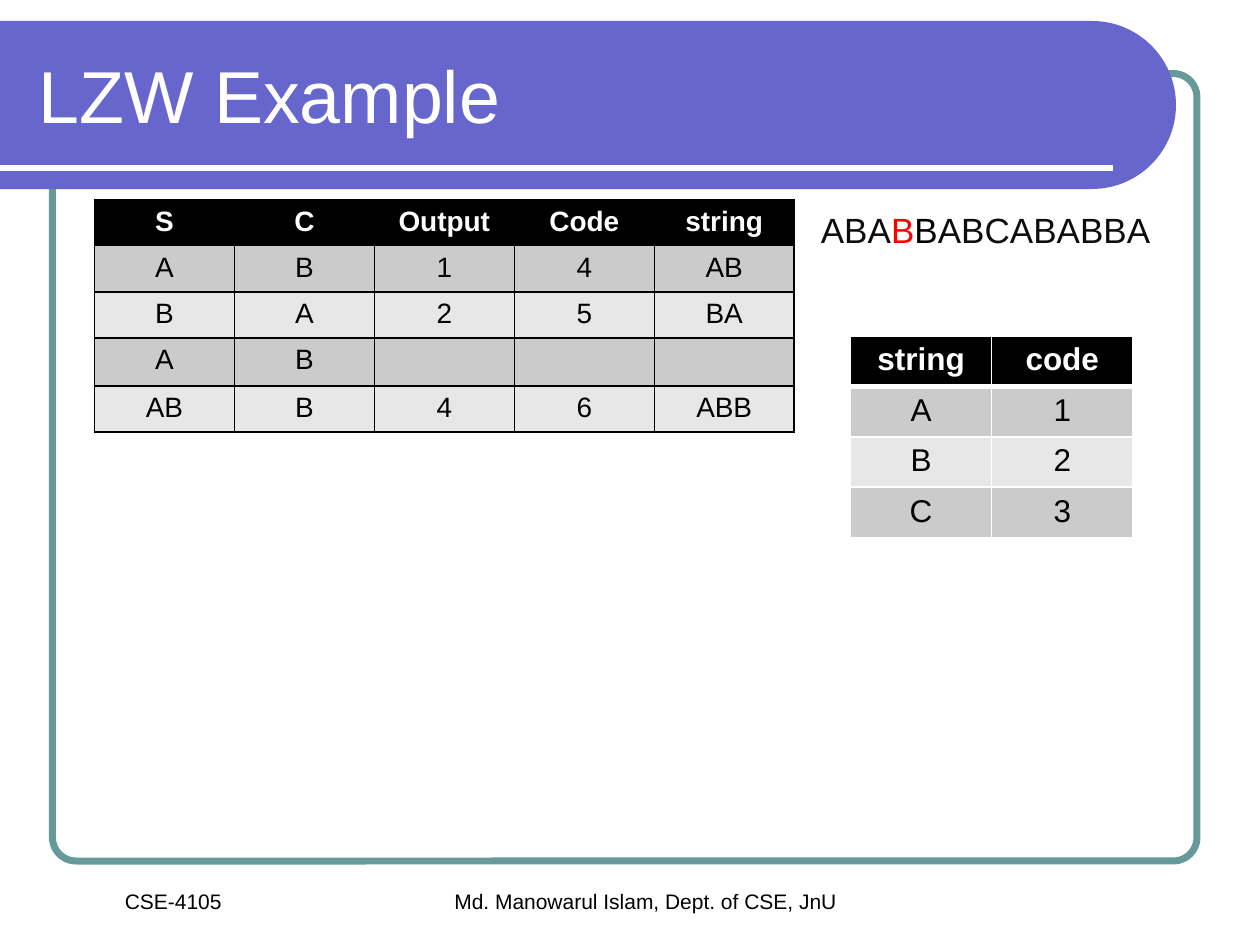
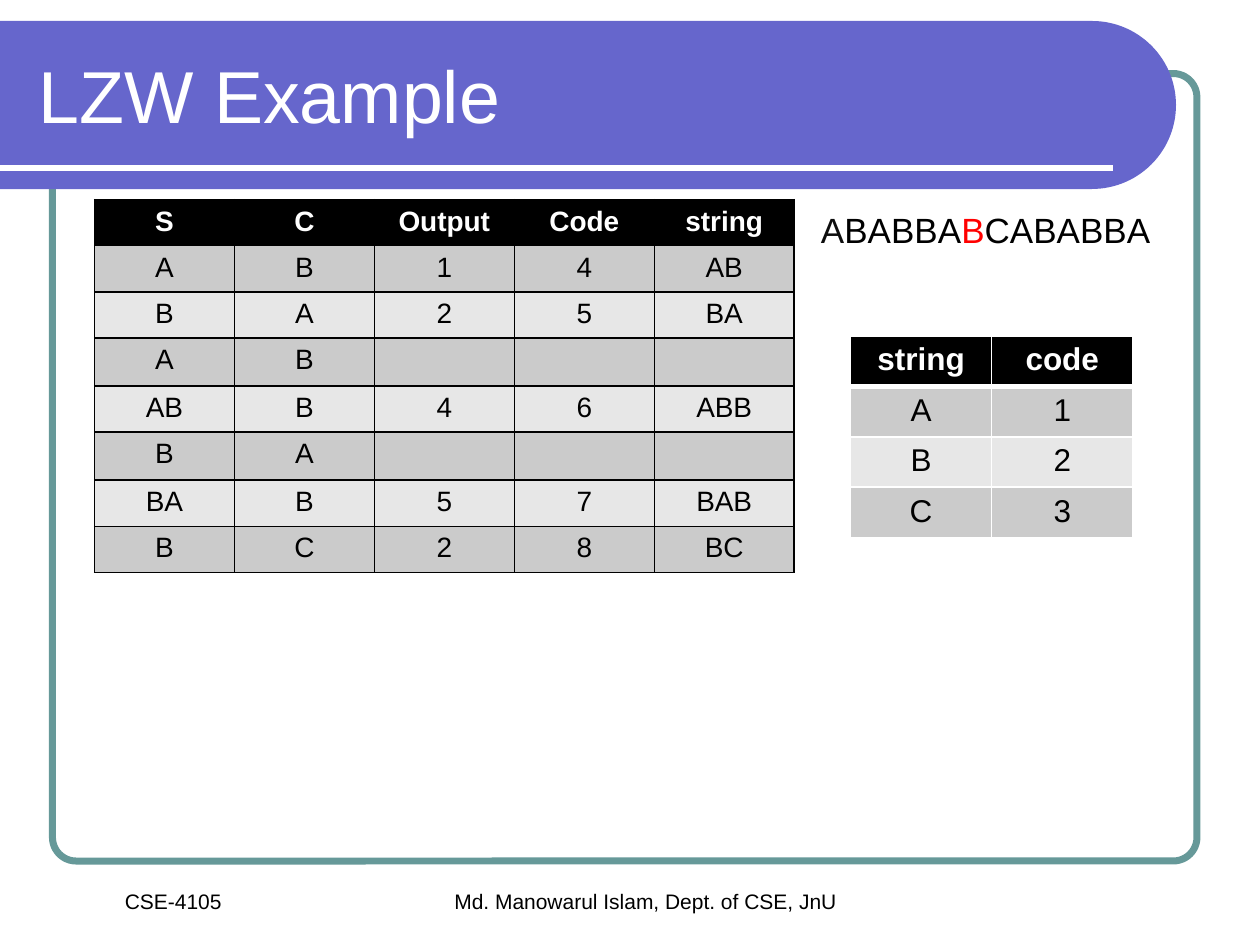
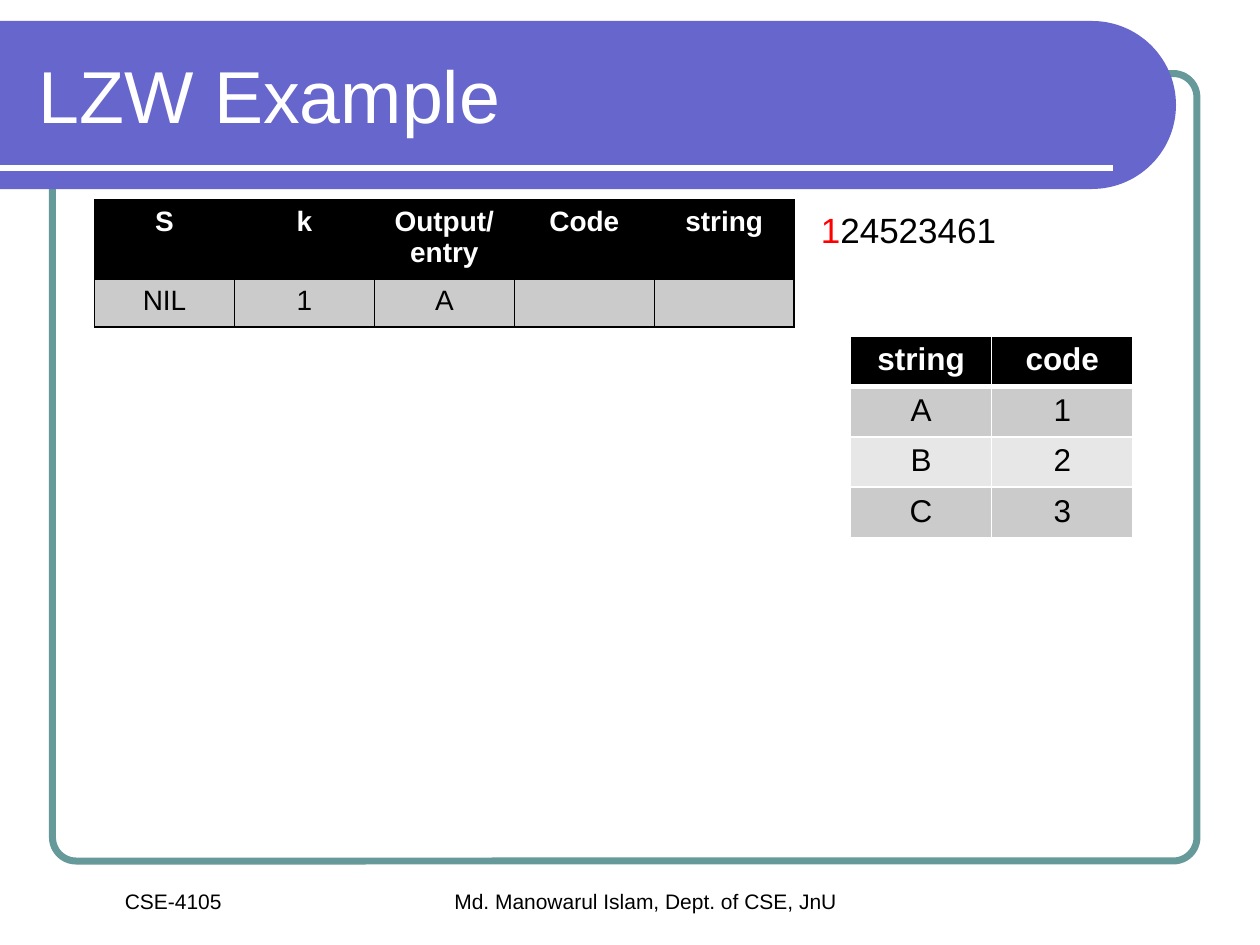
import math

import lxml.etree
import pptx
import pptx.dml.color
import pptx.enum.shapes
import pptx.enum.text
import pptx.oxml.ns
import pptx.util

COLUMNS, ROWS = 120, 90
COLORS = {
    "band": "6666CC", "frame": "669999", "white": "FFFFFF", "black": "000000",
    "ink": "0D0D0D", "current": "FF0000", "odd": "CBCBCB", "even": "E7E7E7",
}
FONT = "Arial"
LEFT, CENTER = pptx.enum.text.PP_ALIGN.LEFT, pptx.enum.text.PP_ALIGN.CENTER
AUTO_SIZE = pptx.enum.text.MSO_AUTO_SIZE
qn = pptx.oxml.ns.qn

TRACE_HEADER = ["S", "C", "Output", "Code", "string"]
TRACE_STEPS = [
    ["A", "B", "1", "4", "AB"],
    ["B", "A", "2", "5", "BA"],
    ["A", "B", "", "", ""],
    ["AB", "B", "4", "6", "ABB"],
    ["B", "A", "", "", ""],
    ["BA", "B", "5", "7", "BAB"],
    ["B", "C", "2", "8", "BC"],
]
DECODE_HEADER = ["S", "k", "Output/entry", "Code", "string"]
DECODE_STEPS = [["NIL", "1", "A", "", ""]]
DICTIONARY = [["string", "code"], ["A", "1"], ["B", "2"], ["C", "3"]]

TRACE_STYLE = dict(column=13.33, row=4.4, size=16, border="black", header_rule=1)
DICTIONARY_STYLE = dict(column=13.45, row=4.8, size=18, border="white", header_rule=3)


def color(name):
    return pptx.dml.color.RGBColor.from_string(COLORS[name])


def apply(target, **values):
    for name, value in values.items():
        setattr(target, name, value)


class Deck:
    """Holds the style and the current slide; lengths are grid columns and rows."""

    def __init__(self):
        self.prs = pptx.Presentation()
        apply(self.prs, slide_width=pptx.util.Inches(10), slide_height=pptx.util.Inches(7.5))
        self.slide = None

    def x(self, columns):
        return round(self.prs.slide_width * columns / COLUMNS)

    def y(self, rows):
        return round(self.prs.slide_height * rows / ROWS)

    def box(self, left, top, width, height):
        return self.x(left), self.y(top), self.x(width), self.y(height)

    def new_slide(self, title):
        self.slide = self.prs.slides.add_slide(self.prs.slide_layouts[5])
        self.frame()
        self.band()
        self.footer("Md. Manowarul Islam, Dept. of CSE, JnU", 21, 81, 7.3)
        self.footer("CSE-4105", 3, 27, 3.6)
        self.title(title)

    def frame(self):
        frame = self.slide.shapes.add_shape(
            pptx.enum.shapes.MSO_SHAPE.ROUNDED_RECTANGLE, *self.box(5, 7, 109, 75))
        frame.adjustments[0] = 0.03
        frame.shadow.inherit = False
        frame.fill.background()
        self.stroke(frame.line, "frame", 4)

    def band(self):
        """Draw the title band with its half-round right end, and the rule in it."""
        top, radius, center = 2, 8, 104
        angles = [math.radians(degrees) for degrees in range(-90, 91, 3)]
        outline = [(center + radius * math.cos(a), top + radius * (1 + math.sin(a)))
                   for a in angles]
        outline.append((0, top + 2 * radius))
        builder = self.slide.shapes.build_freeform(0, self.y(top))
        builder.add_line_segments([(self.x(c), self.y(r)) for c, r in outline])
        band = builder.convert_to_shape()
        band.shadow.inherit = False
        band.fill.solid()
        band.fill.fore_color.rgb = color("band")
        band.line.fill.background()

        rule = self.slide.shapes.add_connector(
            pptx.enum.shapes.MSO_CONNECTOR.STRAIGHT, 0, self.y(16), self.x(106), self.y(16))
        self.stroke(rule.line, "white", 3)
        lxml.etree.SubElement(rule.element.spPr, qn("a:effectLst"))

    def stroke(self, line, name, width):
        line.color.rgb = color(name)
        line.width = pptx.util.Pt(width)

    def add_runs(self, paragraph, runs, size, align=LEFT, bold=False):
        """Fill a paragraph with (text, colour name) runs."""
        paragraph.alignment = align
        for text, name in runs:
            run = paragraph.add_run()
            run.text = text
            apply(run.font, name=FONT, size=pptx.util.Pt(size), bold=bold)
            run.font.color.rgb = color(name)

    def title(self, text):
        title = self.slide.shapes.title
        title.element.getparent().append(title.element)
        left, top, width, height = self.box(2.5, 3, 105.25, 12)
        apply(title, left=left, top=top, width=width, height=height)
        apply(title.text_frame, word_wrap=True, auto_size=AUTO_SIZE.NONE,
              vertical_anchor=pptx.enum.text.MSO_ANCHOR.MIDDLE)
        self.add_runs(title.text_frame.paragraphs[0], [(text, "white")], 42)

    def text(self, runs, left, top, width, height, size, align=LEFT, auto_size=AUTO_SIZE.NONE):
        frame = self.slide.shapes.add_textbox(*self.box(left, top, width, height)).text_frame
        apply(frame, word_wrap=True, auto_size=auto_size)
        paragraph = frame.paragraphs[0]
        self.add_runs(paragraph, runs, size, align)
        return paragraph

    def footer(self, text, left, width, height):
        self.text([(text, "black")], left, 84, width, height, 12, CENTER,
                  AUTO_SIZE.SHAPE_TO_FIT_TEXT)

    def sequence(self, runs, width=49):
        """Add the symbol stream, with a hanging indent."""
        paragraph = self.text(runs, 77, 20, width, 6, 20)
        paragraph.line_spacing = 0.8
        hang = pptx.util.Inches(0.38)
        properties = paragraph._p.get_or_add_pPr()
        properties.set("marL", str(hang))
        properties.set("indent", str(-hang))

    def borders(self, cell, name, top, bottom):
        properties = cell._tc.get_or_add_tcPr()
        for side, width in (("L", 1), ("R", 1), ("T", top), ("B", bottom)):
            line = lxml.etree.SubElement(
                properties, qn(f"a:ln{side}"), w=str(pptx.util.Pt(width)))
            fill = lxml.etree.SubElement(line, qn("a:solidFill"))
            lxml.etree.SubElement(fill, qn("a:srgbClr"), val=COLORS[name])

    def blank(self, paragraph):
        """Give an empty cell the font that sets its line height."""
        ending = lxml.etree.SubElement(paragraph._p, qn("a:endParaRPr"), sz="1800")
        lxml.etree.SubElement(ending, qn("a:latin"), typeface=FONT)

    def table(self, rows, left, top, column, row, size, border, header_rule, header=None):
        heights = [header or row] + [row] * (len(rows) - 1)
        table = self.slide.shapes.add_table(
            len(rows), len(rows[0]),
            *self.box(left, top, column * len(rows[0]), sum(heights))).table
        apply(table, first_row=False, horz_banding=False)
        for table_column in table.columns:
            table_column.width = self.x(column)
        for r, (values, height) in enumerate(zip(rows, heights)):
            table.rows[r].height = self.y(height)
            fill = "black" if r == 0 else ("even", "odd")[r % 2]
            for c, value in enumerate(values):
                cell = table.cell(r, c)
                self.borders(cell, border, header_rule if r == 1 else 1,
                             header_rule if r == 0 else 1)
                cell.fill.solid()
                cell.fill.fore_color.rgb = color(fill)
                paragraph = cell.text_frame.paragraphs[0]
                if value:
                    ink = "white" if r == 0 else "black"
                    self.add_runs(paragraph, [(value, ink)], size, CENTER, bold=r == 0)
                else:
                    self.blank(paragraph)

    def example(self, stream, steps, stream_width=49, header=None):
        """Build one step of the walk-through: stream, trace and dictionary."""
        self.new_slide("LZW Example")
        self.sequence(stream, stream_width)
        self.table(steps, 9, 19, header=header, **TRACE_STYLE)
        self.table(DICTIONARY, 81, 32, **DICTIONARY_STYLE)


def main():
    deck = Deck()
    deck.example([("ABA", "ink"), ("B", "current"), ("B", "black"), ("ABCABABBA", "ink")],
                 [TRACE_HEADER] + TRACE_STEPS[:4])
    deck.example([("A", "ink"), ("BABBA", "black"), ("B", "current"), ("CABABBA", "black")],
                 [TRACE_HEADER] + TRACE_STEPS, stream_width=34)
    deck.example([("1", "current"), ("24523461", "black")],
                 [DECODE_HEADER] + DECODE_STEPS, header=7.6)
    deck.prs.save("out.pptx")


if __name__ == "__main__":
    main()
